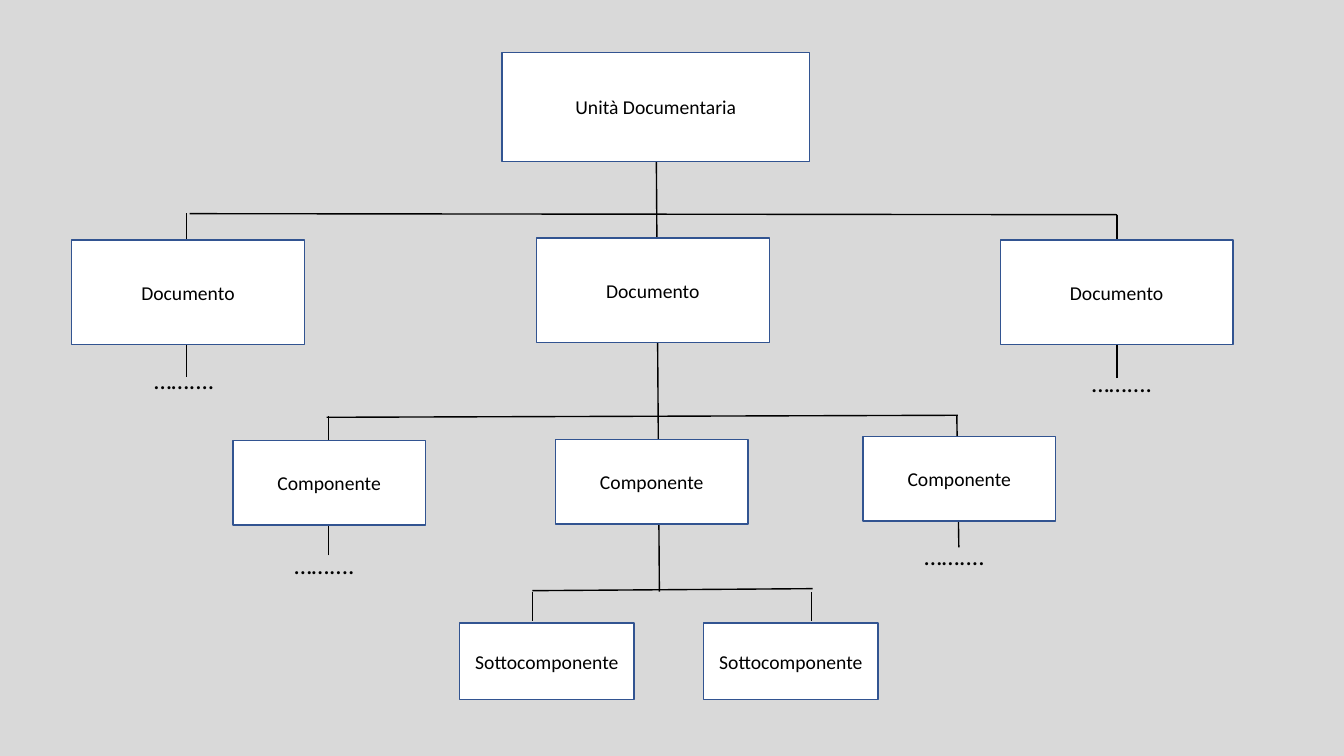
from dataclasses import dataclass

import pptx
import pptx.dml.color
import pptx.enum.shapes
import pptx.enum.text
import pptx.oxml.ns
import pptx.slide
import pptx.text.text
import pptx.util
from lxml import etree

Inches = pptx.util.Inches
RGBColor = pptx.dml.color.RGBColor
Alignment = pptx.enum.text.PP_ALIGN


@dataclass(frozen=True)
class Theme:
    background: RGBColor = RGBColor(0xD9, 0xD9, 0xD9)
    box_fill: RGBColor = RGBColor(0xFF, 0xFF, 0xFF)
    box_border: RGBColor = RGBColor(0x32, 0x54, 0x91)
    ink: RGBColor = RGBColor(0, 0, 0)
    font: str = "Calibri"
    label_size: int = 14
    dots_size: int = 18
    line_width: int = 1


@dataclass(frozen=True)
class Level:
    label: str
    width: float
    height: float
    corners: tuple[tuple[float, float], ...]


@dataclass(frozen=True)
class Branch:
    start_x: float
    start_y: float
    end_x: float
    end_y: float


THEME = Theme()

LEVELS = (
    Level("Unità Documentaria", 3.05, 1.08, ((4.98, 0.52),)),
    Level("Documento", 2.31, 1.04, ((0.71, 2.38), (5.32, 2.36), (9.92, 2.38))),
    Level("Componente", 1.91, 0.84, ((2.31, 4.37), (5.51, 4.36), (8.56, 4.33))),
    Level("Sottocomponente", 1.73, 0.76, ((4.56, 6.18), (6.98, 6.18))),
)

TRUNKS = (
    Branch(6.54, 5.87, 6.51, 1.6),
    Branch(1.85, 3.74, 1.85, 2.11),
    Branch(11.08, 3.75, 11.08, 2.13),
    Branch(3.26, 5.51, 3.26, 4.13),
    Branch(9.49, 4.12, 9.51, 5.43),
    Branch(5.28, 6.16, 5.28, 5.87),
    Branch(8.05, 6.16, 8.05, 5.87),
)

CROSSBARS = (
    Branch(1.88, 2.12, 11.08, 2.13),
    Branch(3.24, 4.14, 9.5, 4.12),
    Branch(5.28, 5.86, 8.06, 5.84),
)

DOTS = "……...."
DOTS_WIDTH = 0.88
DOTS_HEIGHT = 0.4
DOTS_CORNERS = ((1.43, 3.57), (10.73, 3.59), (2.82, 5.4), (9.07, 5.31))


def write_text(
    text_frame: pptx.text.text.TextFrame, text: str, size: int, alignment: Alignment
) -> None:
    text_frame.text = text
    text_frame.word_wrap = True
    paragraph = text_frame.paragraphs[0]
    paragraph.alignment = alignment
    font = paragraph.runs[0].font
    font.name = THEME.font
    font.size = pptx.util.Pt(size)
    font.color.rgb = THEME.ink


def draw_branch(slide: pptx.slide.Slide, branch: Branch) -> None:
    connector = slide.shapes.add_connector(
        pptx.enum.shapes.MSO_CONNECTOR.STRAIGHT,
        Inches(branch.start_x),
        Inches(branch.start_y),
        Inches(branch.end_x),
        Inches(branch.end_y),
    )
    connector.line.color.rgb = THEME.ink
    connector.line.width = pptx.util.Pt(THEME.line_width)
    properties = connector._element.spPr
    etree.SubElement(properties, pptx.oxml.ns.qn("a:effectLst"))


def draw_level(slide: pptx.slide.Slide, level: Level) -> None:
    for left, top in level.corners:
        shape = slide.shapes.add_shape(
            pptx.enum.shapes.MSO_SHAPE.RECTANGLE,
            Inches(left),
            Inches(top),
            Inches(level.width),
            Inches(level.height),
        )
        shape.shadow.inherit = False
        shape.fill.solid()
        shape.fill.fore_color.rgb = THEME.box_fill
        shape.line.color.rgb = THEME.box_border
        shape.line.width = pptx.util.Pt(THEME.line_width)
        shape.text_frame.vertical_anchor = pptx.enum.text.MSO_ANCHOR.MIDDLE
        write_text(shape.text_frame, level.label, THEME.label_size, Alignment.CENTER)


def draw_dots(slide: pptx.slide.Slide, left: float, top: float) -> None:
    text_box = slide.shapes.add_textbox(
        Inches(left), Inches(top), Inches(DOTS_WIDTH), Inches(DOTS_HEIGHT)
    )
    write_text(text_box.text_frame, DOTS, THEME.dots_size, Alignment.LEFT)
    text_box.text_frame.auto_size = pptx.enum.text.MSO_AUTO_SIZE.SHAPE_TO_FIT_TEXT


def main() -> None:
    presentation = pptx.Presentation()
    presentation.slide_width = Inches(13.33)
    presentation.slide_height = Inches(7.5)
    slide = presentation.slides.add_slide(presentation.slide_layouts[6])
    slide.background.fill.solid()
    slide.background.fill.fore_color.rgb = THEME.background

    for branch in TRUNKS + CROSSBARS:
        draw_branch(slide, branch)
    for level in LEVELS:
        draw_level(slide, level)
    for left, top in DOTS_CORNERS:
        draw_dots(slide, left, top)

    presentation.save("out.pptx")


main()
